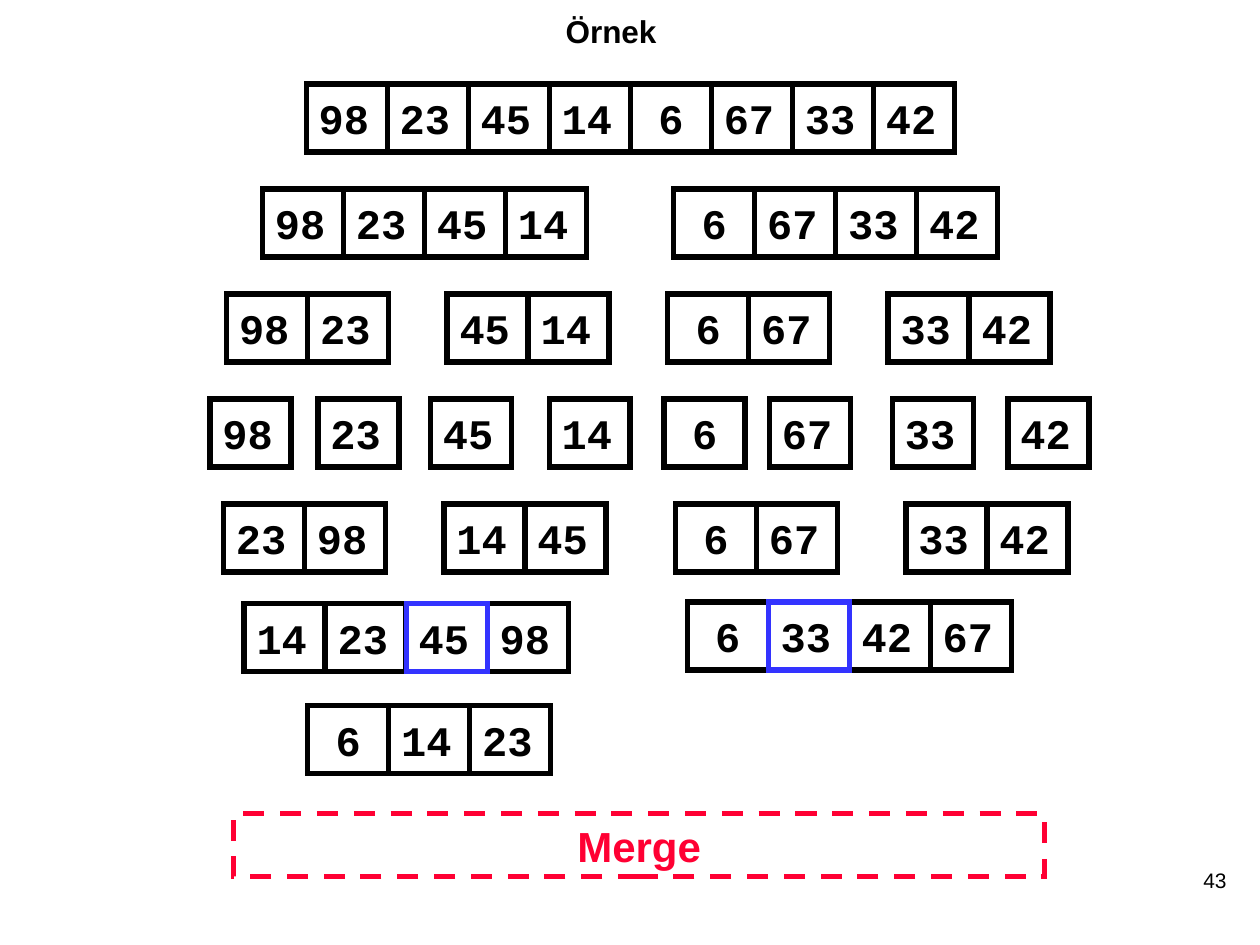
from lxml.etree import SubElement
from pptx import Presentation
from pptx.dml.color import RGBColor
from pptx.enum.dml import MSO_LINE_DASH_STYLE as DASH
from pptx.enum.shapes import MSO_SHAPE as SHAPE
from pptx.enum.text import MSO_ANCHOR as ANCHOR, MSO_AUTO_SIZE as FIT, PP_ALIGN as ALIGN
from pptx.oxml.ns import qn
from pptx.util import Pt

BLACK = RGBColor(0x00, 0x00, 0x00)
BLUE = RGBColor(0x33, 0x33, 0xFF)
RED = RGBColor(0xFF, 0x00, 0x33)
SANS, MONO = "Arial", "Courier New"
CELL_W, CELL_H = 46.3, 38.9
FIRST_TOP, ROW_STEP = 48, 60

SPLIT_ROWS = [
    [(175, [98, 23, 45, 14, 6, 67, 33, 42])],
    [(150, [98, 23, 45, 14]), (385, [6, 67, 33, 42])],
    [(129.5, [98, 23]), (255.5, [45, 14]), (381.5, [6, 67]), (507.5, [33, 42])],
    [(120, [98]), (181.7, [23]), (246, [45]), (313.8, [14]),
     (379.5, [6]), (439.7, [67]), (510, [33]), (576, [42])],
    [(127.7, [23, 98]), (253.7, [14, 45]), (386, [6, 67]), (517.7, [33, 42])],
]
MERGED_RUNS = [
    (139.5, 345, [14, 23, 45, 98], 45),
    (392.7, 344, [6, 33, 42, 67], 33),
    (175.8, 403, [6, 14, 23], None),
]


def set_text(s, text, size, font, color, align, bold=True, anchor=ANCHOR.MIDDLE):
    tf = s.text_frame
    tf.text = text
    tf.vertical_anchor = anchor
    p = tf.paragraphs[0]
    p.alignment = align
    f = p.runs[0].font
    f.size, f.name, f.bold = Pt(size), font, bold
    f.color.rgb = color
    return tf


def add_box(slide, x, y, w, h, color, dash=None):
    s = slide.shapes.add_shape(SHAPE.RECTANGLE, Pt(x), Pt(y), Pt(w), Pt(h))
    s.shadow.inherit = False
    s.fill.background()
    s.line.color.rgb = color
    s.line.width = Pt(3)
    if dash:
        s.line.dash_style = dash
    SubElement(s.line._get_or_add_ln(), qn("a:miter"), lim="800000")
    return s


def add_cell(slide, x, y, value, color=BLACK):
    s = add_box(slide, x, y, CELL_W, CELL_H, color)
    align = ALIGN.CENTER if value < 10 else ALIGN.LEFT
    set_text(s, str(value), 24, MONO, BLACK, align).word_wrap = False


def add_run(slide, x, y, values, current=None):
    cells = [(x + i * CELL_W, v) for i, v in enumerate(values)]
    for left, value in cells:
        if value != current:
            add_cell(slide, left, y, value)
    for left, value in cells:
        if value == current:
            add_cell(slide, left, y, value, BLUE)


def add_title(slide, text):
    s = slide.shapes.title
    s.left, s.top, s.width, s.height = Pt(316), Pt(3), Pt(66.4), Pt(28.8)
    tf = set_text(s, text, 18, SANS, BLACK, ALIGN.CENTER)
    tf.margin_left = tf.margin_right = 0
    tf.auto_size = FIT.NONE
    tf.word_wrap = True


def add_step_label(slide, text):
    s = add_box(slide, 133.4, 465, 463.6, 36, RED, DASH.DASH)
    set_text(s, text, 24, SANS, RED, ALIGN.CENTER, anchor=ANCHOR.BOTTOM)


def add_page_number(slide, text):
    s = slide.shapes.add_textbox(Pt(618), Pt(492), Pt(90), Pt(37.5))
    tf = set_text(s, text, 12, SANS, BLACK, ALIGN.RIGHT, False, ANCHOR.TOP)
    tf.word_wrap = True


def main():
    prs = Presentation()
    prs.slide_width, prs.slide_height = Pt(720), Pt(540)
    slide = prs.slides.add_slide(prs.slide_layouts[5])
    add_title(slide, "Örnek")
    for i, runs in enumerate(SPLIT_ROWS):
        for x, values in runs:
            add_run(slide, x, FIRST_TOP + i * ROW_STEP, values)
    for x, y, values, current in MERGED_RUNS:
        add_run(slide, x, y, values, current)
    add_step_label(slide, "Merge")
    add_page_number(slide, "43")
    prs.save("out.pptx")


if __name__ == "__main__":
    main()
